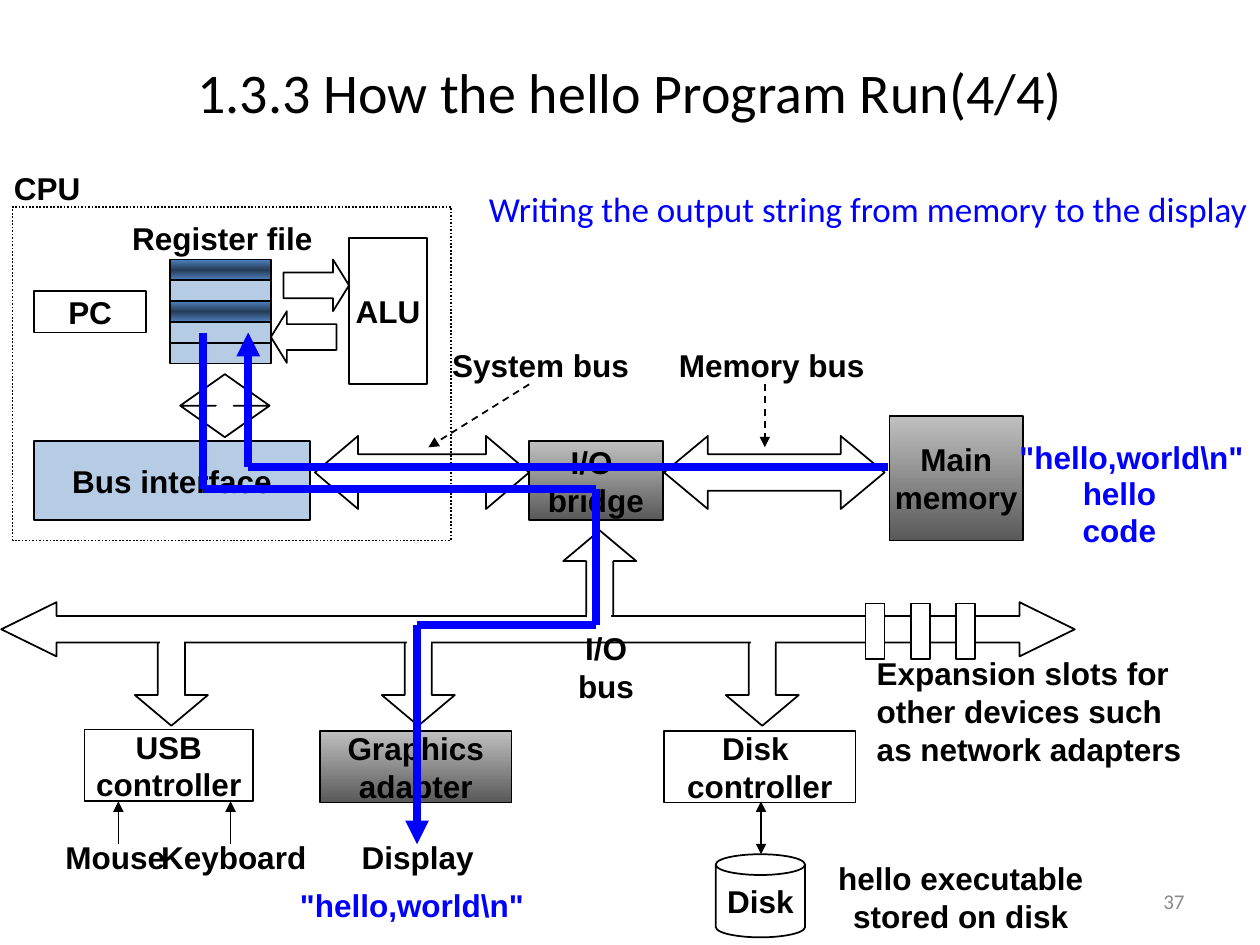
from typing import NamedTuple

from lxml import etree
from pptx import Presentation
from pptx.dml.color import RGBColor
from pptx.enum.dml import MSO_LINE
from pptx.enum.shapes import MSO_CONNECTOR, MSO_SHAPE
from pptx.enum.text import MSO_ANCHOR, PP_ALIGN
from pptx.oxml.ns import qn
from pptx.util import Inches, Pt

RECT, CAN = MSO_SHAPE.RECTANGLE, MSO_SHAPE.CAN
UP, DOWN = MSO_SHAPE.UP_ARROW, MSO_SHAPE.DOWN_ARROW
LEFT, RIGHT = MSO_SHAPE.LEFT_ARROW, MSO_SHAPE.RIGHT_ARROW
LEFT_RIGHT, UP_DOWN = MSO_SHAPE.LEFT_RIGHT_ARROW, MSO_SHAPE.UP_DOWN_ARROW
ALIGN_L, ALIGN_C, ALIGN_R = PP_ALIGN.LEFT, PP_ALIGN.CENTER, PP_ALIGN.RIGHT
DASH, DOT = MSO_LINE.DASH, MSO_LINE.ROUND_DOT

BLACK, WHITE, BLUE, PALE = "000000", "FFFFFF", "0000FF", "B6CBE4"
GREY = ("C0C0C0", "595959")
STEEL = ("4F81BD", "253C57", "4F81BD")


class Part(NamedTuple):
    x: float
    y: float
    w: float
    h: float
    text: str = ""
    fill: str | tuple | None = None
    kind: int = RECT
    adj: tuple = ()
    line: str | None = BLACK
    dash: int | None = None


class Label(NamedTuple):
    x: float
    y: float
    w: float
    text: str
    h: float = 0.4
    color: str = BLACK
    align: int = ALIGN_C
    size: float = 18
    font: str = "Arial"
    bold: bool = True
    wrap: bool = False


class Line(NamedTuple):
    x1: float
    y1: float
    x2: float
    y2: float
    color: str = BLACK
    width: float = 1
    dash: int | None = None
    head: bool = False
    tail: bool = False


def rgb(color: str) -> RGBColor:
    return RGBColor.from_string(color)


def paint(sp, fill: str | tuple | None) -> None:
    """Fill with nothing, a colour, or evenly spaced stops from top to bottom."""
    if fill is None:
        sp.fill.background()
    elif isinstance(fill, str):
        sp.fill.solid()
        sp.fill.fore_color.rgb = rgb(fill)
    else:
        sp.fill.gradient()
        sp.fill.gradient_angle = 270
        stops = next(sp._element.iter(qn("a:gsLst")))
        for old in list(stops):
            stops.remove(old)
        for i, color in enumerate(fill):
            pos = str(100000 * i // (len(fill) - 1))
            stop = etree.SubElement(stops, qn("a:gs"), pos=pos)
            etree.SubElement(stop, qn("a:srgbClr"), val=color)


def write(sp, label: Label) -> None:
    tf = sp.text_frame
    tf.word_wrap = label.wrap
    tf.vertical_anchor = MSO_ANCHOR.MIDDLE
    for i, text in enumerate(label.text.split("\n")):
        p = tf.paragraphs[0] if i == 0 else tf.add_paragraph()
        p.add_run().text = text
        p.alignment = label.align
        p.font.size, p.font.name, p.font.bold = Pt(label.size), label.font, label.bold
        p.font.color.rgb = rgb(label.color)


def add_part(s, part: Part) -> None:
    sp = s.shapes.add_shape(part.kind, *(Inches(v) for v in part[:4]))
    sp.shadow.inherit = False
    for i, value in enumerate(part.adj):
        sp.adjustments[i] = value
    paint(sp, part.fill)
    if part.line is None:
        sp.line.fill.background()
    else:
        sp.line.color.rgb = rgb(part.line)
        sp.line.width = Pt(1)
        if part.dash is not None:
            sp.line.dash_style = part.dash
    if part.text:
        write(sp, Label(part.x, part.y, part.w, part.text))


def add_label(s, label: Label) -> None:
    sp = s.shapes.add_textbox(Inches(label.x), Inches(label.y), Inches(label.w), Inches(label.h))
    write(sp, label)


def add_line(s, line: Line) -> None:
    sp = s.shapes.add_connector(MSO_CONNECTOR.STRAIGHT, *(Inches(v) for v in line[:4]))
    sp.line.color.rgb = rgb(line.color)
    sp.line.width = Pt(line.width)
    if line.dash is not None:
        sp.line.dash_style = line.dash
    ln = sp.line._get_or_add_ln()
    for tag, wanted in (("a:headEnd", line.head), ("a:tailEnd", line.tail)):
        if wanted:
            etree.SubElement(ln, qn(tag), type="triangle")
    etree.SubElement(sp._element.spPr, qn("a:effectLst"))


def data_path(x1: float, y1: float, x2: float, y2: float, **ends: bool) -> Line:
    return Line(x1, y1, x2, y2, BLUE, 4.5, **ends)


BRANCH = (0.37, 0.42)
BRANCHES = ((1.07, 4.96), (3.03, 4.95), (5.76, 4.94))  # arrow left, joint top
REGISTERS = (STEEL, PALE, STEEL, PALE, PALE)

ITEMS = [
    # Title and subtitle
    Label(0, 0.3, 10, "1.3.3 How the hello Program Run(4/4)", 0.85, size=32,
          font="Calibri", bold=False, wrap=True),
    # Memory and system buses
    Part(7.06, 3.3, 1.06, 0.99, "Main\nmemory", GREY),
    Part(5.27, 3.46, 1.75, 0.58, kind=LEFT_RIGHT, adj=(0.5, 0.6)),
    Part(4.2, 3.5, 1.06, 0.63, "I/O \nbridge", GREY),
    Part(2.5, 3.46, 1.7, 0.58, kind=LEFT_RIGHT, adj=(0.5, 0.59)),
    # CPU
    Part(0.27, 3.5, 2.19, 0.63, "Bus interface", PALE),
    *(Part(1.35, 2.06 + 0.165 * i, 0.8, 0.165, fill=fill) for i, fill in enumerate(REGISTERS)),
    Part(2.25, 2.06, 0.52, 0.41, kind=RIGHT, adj=(0.5, 0.31)),
    Part(2.15, 2.47, 0.52, 0.41, kind=LEFT, adj=(0.5, 0.31)),
    Part(2.77, 1.89, 0.62, 1.16, "ALU"),
    Part(0.27, 2.31, 0.89, 0.33, "PC"),
    Label(0.95, 1.69, 1.63, "Register file"),
    Part(1.43, 2.97, 0.71, 0.5, kind=UP_DOWN, adj=(0.5, 0.2)),
    Part(0.1, 1.64, 3.48, 2.65, dash=DOT),
    Label(0.01, 1.29, 0.73, "CPU"),
    # Bus names
    Label(3.49, 2.7, 1.6, "System bus"),
    Line(4.2, 3.05, 3.4, 3.55, dash=DASH, tail=True),
    Label(5.29, 2.7, 1.67, "Memory bus"),
    Line(6.07, 3.05, 6.07, 3.55, dash=DASH, tail=True),
    # Controllers and devices
    Part(4.47, 4.21, 0.58, 0.75, kind=UP, adj=BRANCH),
    *(Part(x, 5.01, 0.58, 0.75, kind=DOWN, adj=BRANCH) for x, _ in BRANCHES),
    Part(5.27, 5.8, 1.52, 0.57, "Disk \ncontroller"),
    Part(2.54, 5.8, 1.52, 0.57, "Graphics\nadapter", GREY),
    Part(0.67, 5.79, 1.34, 0.57, "USB\ncontroller"),
    *(Line(x, 6.36, x, 6.7, head=True) for x in (0.94, 1.83)),
    Label(0.42, 6.6, 0.99, "Mouse"),
    Label(1.18, 6.6, 1.35, "Keyboard"),
    Label(2.77, 6.6, 1.09, "Display"),
    Line(6.04, 6.36, 6.04, 6.78, head=True, tail=True),
    Part(5.68, 6.78, 0.71, 0.66, "Disk", kind=CAN, adj=(0.25,)),
    # I/O bus, with white joints that open it to its branches
    Part(0.01, 4.78, 8.52, 0.43, fill=WHITE, kind=LEFT_RIGHT, adj=(0.49, 1.02)),
    *(Part(x + 0.2, y, 0.19, 0.17, fill=WHITE, line=None) for x, y in BRANCHES),
    Label(4.29, 5.09, 1.04, "I/O bus"),
    Part(4.66, 4.87, 0.19, 0.17, fill=WHITE, line=None),
    *(Part(6.87 + 0.36 * i, 4.79, 0.15, 0.44, fill=WHITE) for i in range(3)),
    Label(6.86, 5.14, 2.62, "Expansion slots for\nother devices such\nas network adapters",
          1.0, align=ALIGN_L),
    Label(6.52, 6.77, 2.21, "hello executable \nstored on disk", 0.7),
    # Path of the string from memory to the display
    data_path(4.73, 4.96, 4.73, 3.88),
    data_path(3.31, 6.7, 3.31, 4.96, head=True),
    data_path(4.73, 4.96, 3.31, 4.96),
    data_path(1.97, 3.71, 7.05, 3.71),
    data_path(1.97, 3.71, 1.97, 2.64, tail=True),
    data_path(4.73, 3.88, 1.61, 3.88),
    data_path(1.61, 3.88, 1.61, 2.64),
    Label(8.17, 3.86, 1.43, "hello code", color=BLUE),
    *(Label(x, y, 1.98, '"hello,world\\n"', color=BLUE) for x, y in ((7.99, 3.43), (2.28, 6.98))),
    Label(3.66, 1.07, 6.34, "Writing the output string from memory to the display", 1.17,
          BLUE, ALIGN_R, 20, "Calibri", False, True),
    # Page number
    Label(7.17, 6.95, 2.33, "37", 0.4, "898989", ALIGN_R, 12, "Calibri", False, True),
]


def main() -> None:
    prs = Presentation()
    prs.slide_width, prs.slide_height = Inches(10), Inches(7.5)
    s = prs.slides.add_slide(prs.slide_layouts[6])
    draw = {Part: add_part, Label: add_label, Line: add_line}
    for item in ITEMS:
        draw[type(item)](s, item)
    prs.save("out.pptx")


if __name__ == "__main__":
    main()
